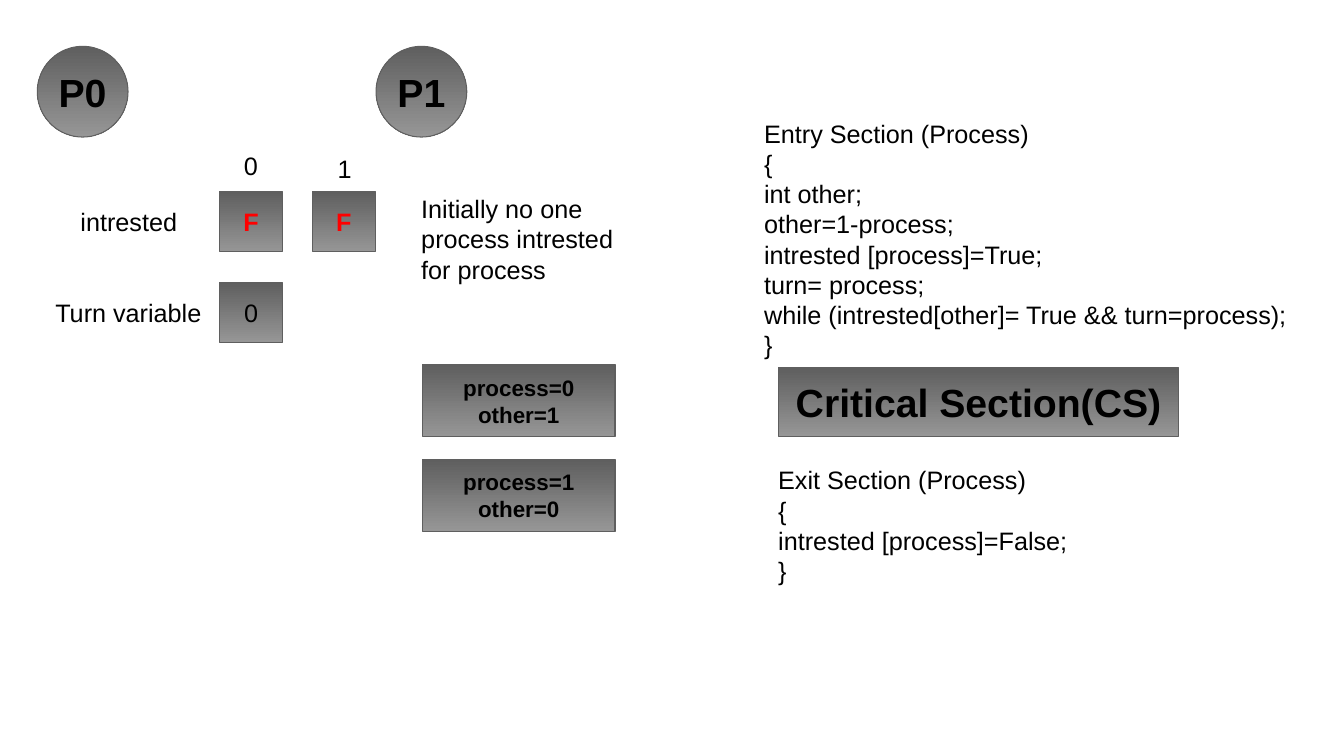
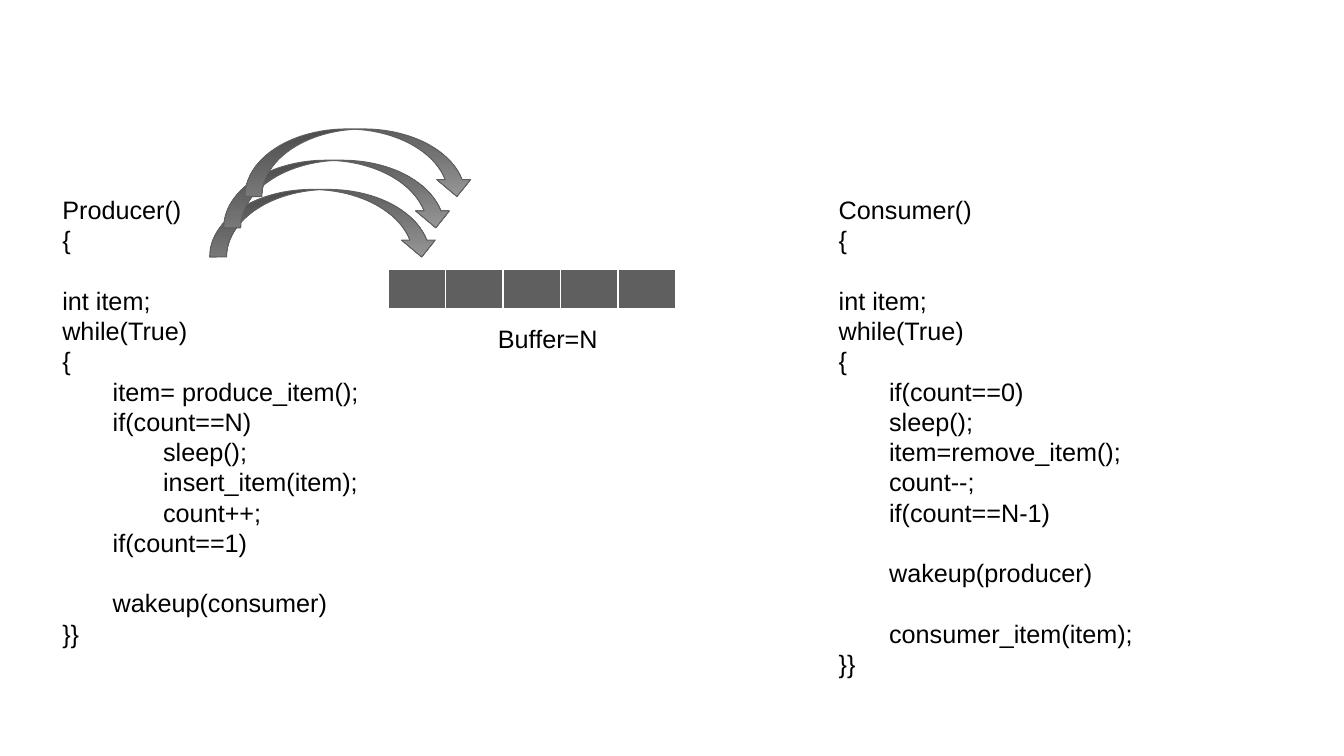
"""Build two slides on process synchronisation: mutual exclusion and producer-consumer."""
import pptx
import pptx.util
import pptx.dml.color
import pptx.enum.shapes
import pptx.enum.text
import pptx.oxml
import pptx.oxml.ns
import lxml.etree

Inches = pptx.util.Inches
Pt = pptx.util.Pt
Shape = pptx.enum.shapes.MSO_SHAPE
Align = pptx.enum.text.PP_ALIGN

COLORS = {"ink": "000000", "flag": "FF0000", "dark": "5F5F5F",
          "light": "969696", "border": "FFFFFF"}
FONT = "Arial"
BODY_SIZE = 18
LINE_PITCH = 1.2

ENTRY = """Entry Section (Process)
{
int other;
other=1-process;
intrested [process]=True;
turn= process;
while (intrested[other]= True && turn=process);
}"""

EXIT = """Exit Section (Process)
{
intrested [process]=False;
}"""

PRODUCER = """Producer()
{

int item;
while(True)
{
\titem= produce_item();
\tif(count==N)
\t\tsleep();
\t\tinsert_item(item);
\t\tcount++;
\tif(count==1)

\twakeup(consumer)
}}"""

CONSUMER = """Consumer()
{

int item;
while(True)
{
\tif(count==0)
\tsleep();
\titem=remove_item();
\tcount--;
\tif(count==N-1)

\twakeup(producer)

\tconsumer_item(item);
}}"""


def rgb(name):
    """Return the named colour."""
    return pptx.dml.color.RGBColor.from_string(COLORS[name])


class Sketch:
    """Hold the deck, its style and the current page."""

    def __init__(self):
        """Open a widescreen deck."""
        self.deck = pptx.Presentation()
        self.deck.slide_width = Inches(13.33)
        self.deck.slide_height = Inches(7.5)
        self.page = None

    def new_page(self):
        """Start an empty page."""
        self.page = self.deck.slides.add_slide(self.deck.slide_layouts[6])

    def add_lines(self, frame, text, size=BODY_SIZE, color="ink", bold=False, align=Align.LEFT):
        """Add lines; tabs set the indent and blank lines the space before."""
        gap = 0
        para = frame.paragraphs[0]
        for line in text.split("\n"):
            if not line:
                gap += size * LINE_PITCH
                continue
            if para.text:
                para = frame.add_paragraph()
            label = line.lstrip("\t")
            para.text = label
            para.alignment = align
            para.level = len(line) - len(label)
            if para.level:
                para._p.get_or_add_pPr().set("marL", str(Inches(para.level * 0.5)))
            para.space_before = Pt(gap)
            para.font.name = FONT
            para.font.size = Pt(size)
            para.font.bold = bold
            para.font.color.rgb = rgb(color)
            gap = 0

    def text(self, text, left, top, width, height, wrap=False):
        """Add a text box that fits its text."""
        box = self.page.shapes.add_textbox(
            Inches(left), Inches(top), Inches(width), Inches(height))
        box.text_frame.word_wrap = wrap
        box.text_frame.auto_size = pptx.enum.text.MSO_AUTO_SIZE.SHAPE_TO_FIT_TEXT
        self.add_lines(box.text_frame, text)

    def shape(self, kind, left, top, width, height, text="", **style):
        """Add a grey gradient shape with centred text."""
        shape = self.page.shapes.add_shape(
            kind, Inches(left), Inches(top), Inches(width), Inches(height))
        shape.shadow.inherit = False
        shape.fill.gradient()
        shape.fill.gradient_angle = 270
        for stop, color in zip(shape.fill.gradient_stops, ("dark", "light")):
            stop.color.rgb = rgb(color)
        shape.line.color.rgb = rgb("dark")
        shape.line.width = Pt(0.75)
        if text:
            frame = shape.text_frame
            frame.word_wrap = False
            frame.vertical_anchor = pptx.enum.text.MSO_ANCHOR.MIDDLE
            self.add_lines(frame, text, align=Align.CENTER, **style)

    def buffer(self, left, top, width, height, slots):
        """Add a one-row table of empty slots."""
        table = self.page.shapes.add_table(
            1, slots, Inches(left), Inches(top), Inches(width), Inches(height)).table
        for cell in table.iter_cells():
            properties = cell._tc.get_or_add_tcPr()
            for side, points in (("lnL", 1), ("lnR", 1), ("lnT", 1), ("lnB", 3)):
                edge = lxml.etree.SubElement(
                    properties, pptx.oxml.ns.qn("a:" + side), w=str(Pt(points)))
                solid = lxml.etree.SubElement(edge, pptx.oxml.ns.qn("a:solidFill"))
                lxml.etree.SubElement(
                    solid, pptx.oxml.ns.qn("a:srgbClr"), val=COLORS["border"])
            cell.fill.solid()
            cell.fill.fore_color.rgb = rgb("dark")


def mutual_exclusion(sketch):
    """Draw the two processes, their variables and the three sections."""
    sketch.new_page()
    for name, left in (("P0", 0.37), ("P1", 3.73)):
        sketch.shape(Shape.OVAL, left, 0.46, 0.9, 0.9, name, size=28, bold=True)
    for index, left, top in (("0", 2.32, 1.44), ("1", 3.25, 1.47)):
        sketch.text(index, left, top, 0.34, 0.4)
    for left in (2.18, 3.1):
        sketch.shape(Shape.RECTANGLE, left, 1.9, 0.62, 0.6, "F", color="flag", bold=True)
    sketch.shape(Shape.RECTANGLE, 2.18, 2.8, 0.62, 0.6, "0")
    sketch.text("intrested", 0.7, 2, 1.16, 0.4)
    sketch.text("Turn variable", 0.45, 2.9, 1.65, 0.4)
    sketch.text("Initially no one process intrested for process",
                4.08, 1.87, 2.13, 1.01, wrap=True)
    for process, top in ((0, 3.62), (1, 4.56)):
        sketch.shape(Shape.RECTANGLE, 4.19, top, 1.91, 0.71,
                     f"process={process}\nother={1 - process}", size=16, bold=True)
    sketch.text(ENTRY, 7.48, 1.12, 5.38, 2.52)
    sketch.shape(Shape.RECTANGLE, 7.72, 3.65, 3.97, 0.68,
                 "Critical Section(CS)", size=28, bold=True)
    sketch.text(EXIT, 7.62, 4.56, 3.07, 1.31)


def producer_consumer(sketch):
    """Draw the two routines and the buffer between them."""
    sketch.new_page()
    sketch.text(CONSUMER, 8.22, 1.88, 3.62, 4.95, wrap=True)
    sketch.text(PRODUCER, 0.52, 1.88, 3.33, 4.95, wrap=True)
    sketch.buffer(3.85, 2.67, 2.85, 0.4, slots=5)
    sketch.text("Buffer=N", 4.84, 3.16, 1.19, 0.4)
    for left, top in ((2.08, 1.88), (2.22, 1.59), (2.43, 1.28)):
        sketch.shape(Shape.CURVED_DOWN_ARROW, left, top, 2.27, 0.67)


sketch = Sketch()
mutual_exclusion(sketch)
producer_consumer(sketch)
sketch.deck.save("out.pptx")
